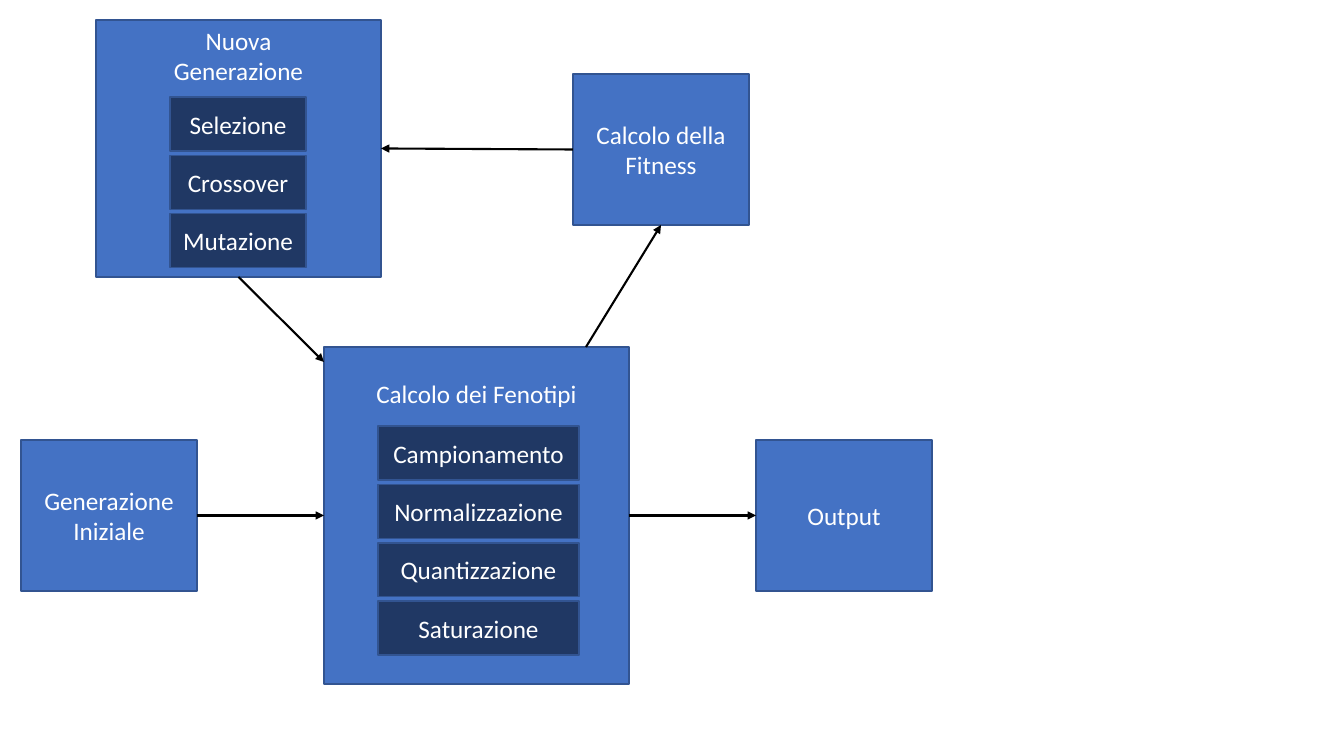
from dataclasses import dataclass

from lxml import etree
from pptx import Presentation
from pptx.dml.color import RGBColor
from pptx.enum.shapes import MSO_CONNECTOR, MSO_SHAPE
from pptx.enum.text import MSO_ANCHOR, PP_ALIGN
from pptx.oxml.ns import qn
from pptx.util import Pt

RECT = MSO_SHAPE.RECTANGLE
STRAIGHT = MSO_CONNECTOR.STRAIGHT
CENTER = PP_ALIGN.CENTER
TOP, MIDDLE = MSO_ANCHOR.TOP, MSO_ANCHOR.MIDDLE
SITE_LEFT, SITE_BOTTOM, SITE_RIGHT = 1, 2, 3
SCALE = 914400 / 100.8
BLANK = 6


@dataclass(frozen=True)
class Theme:
    """Colours, font and sizes of the diagram."""
    stage: RGBColor = RGBColor(0x44, 0x72, 0xC4)
    step: RGBColor = RGBColor(0x20, 0x38, 0x64)
    border: RGBColor = RGBColor(0x32, 0x54, 0x91)
    text: RGBColor = RGBColor(0xFF, 0xFF, 0xFF)
    arrow: RGBColor = RGBColor(0, 0, 0)
    font: str = "Calibri"
    size: Pt = Pt(18)
    border_width: Pt = Pt(1)
    arrow_width: Pt = Pt(1.5)


THEME = Theme()


def px(n):
    """Turn pixels into EMU."""
    return round(n * SCALE)


def add_box(slide, text, x, y, w, h, fill=THEME.stage, title_inset=None):
    """Add a labelled rectangle, its text at the top if an inset is given."""
    sp = slide.shapes.add_shape(RECT, px(x), px(y), px(w), px(h))
    sp.shadow.inherit = False
    sp.fill.solid()
    sp.fill.fore_color.rgb = fill
    sp.line.color.rgb = THEME.border
    sp.line.width = THEME.border_width
    tf = sp.text_frame
    tf.word_wrap = True
    tf.vertical_anchor = MIDDLE
    if title_inset is not None:
        tf.vertical_anchor = TOP
        tf.margin_top = px(title_inset)
    tf.text = text
    for p in tf.paragraphs:
        p.alignment = CENTER
        for r in p.runs:
            r.font.name = THEME.font
            r.font.size = THEME.size
            r.font.color.rgb = THEME.text
    return sp


def add_steps(slide, names, x, y, w, h=54, pitch=58.4):
    """Stack the inner steps of a stage at an equal pitch."""
    for i, name in enumerate(names):
        add_box(slide, name, x, y + i * pitch, w, h, THEME.step)


def add_arrow(slide, start=(0, 0), end=(0, 0), source=None, target=None):
    """Add an arrow between points or (shape, site) pairs."""
    cxn = slide.shapes.add_connector(STRAIGHT, *map(px, start + end))
    if source:
        cxn.begin_connect(*source)
    if target:
        cxn.end_connect(*target)
    cxn.line.color.rgb = THEME.arrow
    cxn.line.width = THEME.arrow_width
    sp_pr = cxn.line._get_or_add_ln().getparent()
    etree.SubElement(sp_pr.find(qn("a:ln")), qn("a:tailEnd"), type="triangle")
    etree.SubElement(sp_pr, qn("a:effectLst"))


def main():
    """Build the genetic algorithm diagram."""
    prs = Presentation()
    prs.slide_width, prs.slide_height = px(1344), px(756)
    slide = prs.slides.add_slide(prs.slide_layouts[BLANK])

    generation = add_box(slide, "Nuova\nGenerazione", 96, 20, 285, 257, title_inset=5)
    phenotypes = add_box(slide, "Calcolo dei Fenotipi", 324, 347, 305, 337, title_inset=31)
    fitness = add_box(slide, "Calcolo della\nFitness", 573, 74, 176, 151)
    initial = add_box(slide, "Generazione\nIniziale", 21, 440, 176, 151)
    output = add_box(slide, "Output", 756, 440, 176, 151)

    add_arrow(slide, source=(initial, SITE_RIGHT), target=(phenotypes, SITE_LEFT))
    add_arrow(slide, end=(324, 362), source=(generation, SITE_BOTTOM))
    add_arrow(slide, start=(586, 347), target=(fitness, SITE_BOTTOM))
    add_arrow(slide, source=(fitness, SITE_LEFT), target=(generation, SITE_RIGHT))
    add_arrow(slide, source=(phenotypes, SITE_RIGHT), target=(output, SITE_LEFT))

    add_steps(slide, ["Selezione", "Crossover", "Mutazione"], 170, 97, 136)
    add_steps(slide, ["Campionamento", "Normalizzazione", "Quantizzazione",
                      "Saturazione"], 378, 426, 201)
    prs.save("out.pptx")


main()
